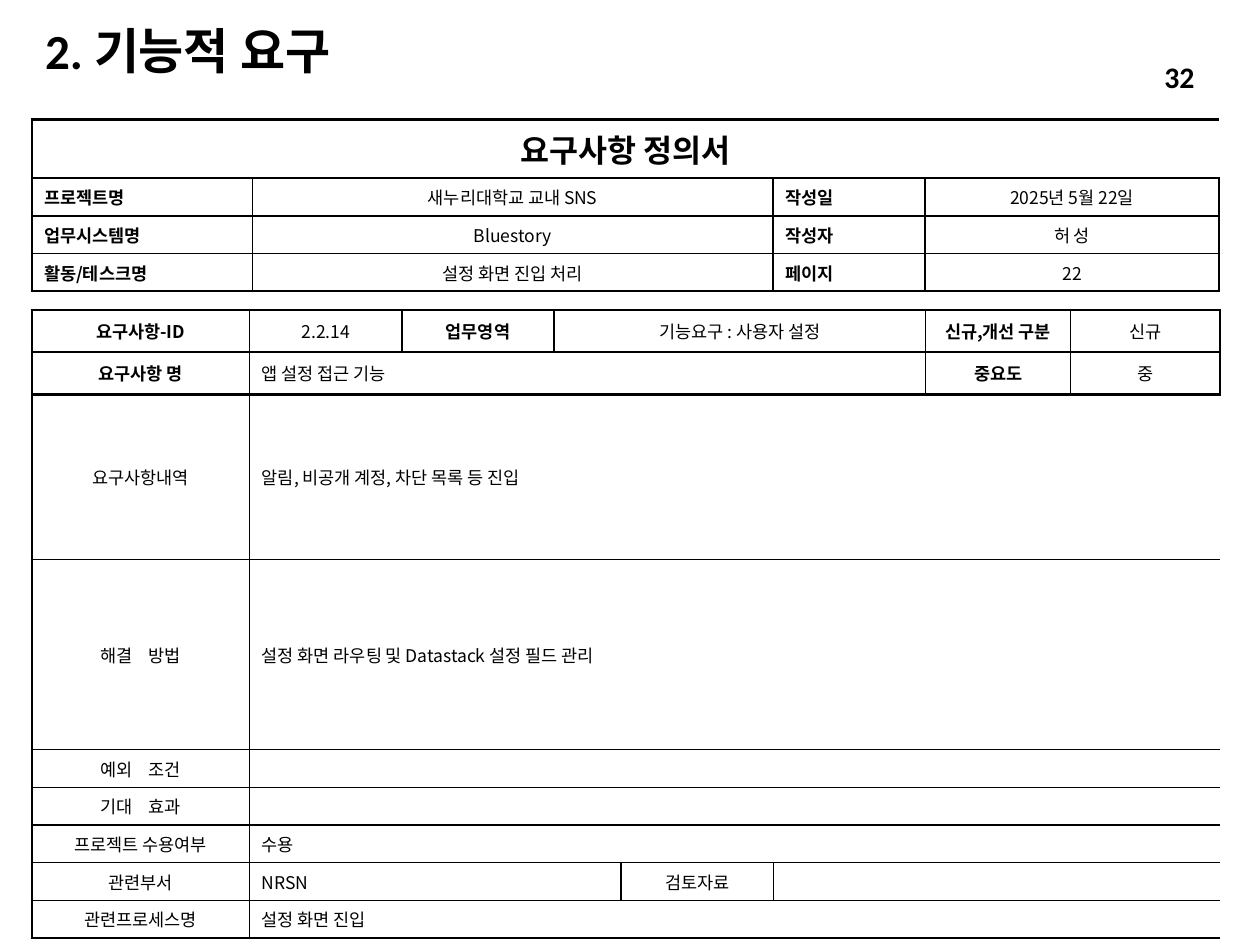
from lxml.etree import SubElement
from pptx import Presentation
from pptx.dml.color import RGBColor
from pptx.enum.text import MSO_ANCHOR as Anchor, PP_ALIGN as Align
from pptx.oxml.ns import qn
from pptx.util import Cm, Pt

BLACK = "000000"
LATIN, KOREAN = "Calibri", "Noto Sans CJK KR"
THIN, HEAVY = 1, 1.5
STYLES = {
    "heading": {"size": 18, "bold": True, "align": Align.CENTER},
    "field": {"size": 10, "bold": True, "align": Align.JUSTIFY},
    "label": {"size": 10, "bold": True, "align": Align.CENTER},
    "value": {"size": 10, "bold": False, "align": Align.CENTER},
    "detail": {"size": 10, "bold": False, "align": Align.LEFT},
}
SUMMARY = {
    "columns": [4.45, 10.49, 3.07, 5.92],
    "rows": [1.18] + [0.76] * 3,
    "heavy_lines": {0, 4},
    "heavy_right": {1, 2, 3},
    "anchors": [Anchor.MIDDLE] + [Anchor.TOP] * 3,
    "cells": [
        [("요구사항 정의서", "heading", 4)],
        [("프로젝트명", "field", 1), ("새누리대학교 교내 SNS", "value", 1),
         ("작성일", "field", 1), ("2025년 5월 22일", "value", 1)],
        [("업무시스템명", "field", 1), ("Bluestory", "value", 1),
         ("작성자", "field", 1), ("허 성", "value", 1)],
        [("활동/테스크명", "field", 1), ("설정 화면 진입 처리", "value", 1),
         ("페이지", "field", 1), ("22", "value", 1)],
    ],
}
REQUIREMENT = {
    "columns": [4.39, 3.07, 3.07, 1.35, 3.07, 3.07, 2.92, 3.02],
    "rows": [0.85, 0.85, 3.33, 3.83] + [0.76] * 5,
    "heavy_lines": {0, 1, 2, 9},
    "heavy_right": {0, 1},
    "anchors": [Anchor.MIDDLE] * 9,
    "cells": [
        [("요구사항-ID", "label", 1), ("2.2.14", "value", 1), ("업무영역", "label", 1),
         ("기능요구 : 사용자 설정", "value", 3), ("신규,개선 구분", "label", 1),
         ("신규", "value", 1)],
        [("요구사항 명", "label", 1), ("앱 설정 접근 기능", "detail", 5),
         ("중요도", "label", 1), ("중", "value", 1)],
        [("요구사항내역", "value", 1),
         ("알림, 비공개 계정, 차단 목록 등 진입", "detail", 7)],
        [("해결\t방법", "value", 1),
         ("설정 화면 라우팅 및 Datastack 설정 필드 관리", "detail", 7)],
        [("예외\t조건", "value", 1), ("", "detail", 7)],
        [("기대\t효과", "value", 1), ("", "detail", 7)],
        [("프로젝트 수용여부", "value", 1), ("수용", "detail", 7)],
        [("관련부서", "value", 1), ("NRSN", "detail", 3),
         ("검토자료", "value", 1), ("", "detail", 3)],
        [("관련프로세스명", "value", 1), ("설정 화면 진입", "detail", 7)],
    ],
}


def color(value):
    """Return the RGB colour of a hex string."""
    return RGBColor.from_string(value)


def set_attributes(target, values):
    """Set every attribute in a dict of format values."""
    for name, value in values.items():
        setattr(target, name, value)


def add_run(paragraph, text, size, bold, font, tracking=0):
    """Add a formatted run, with optional extra letter spacing in points."""
    run = paragraph.add_run()
    run.text = text
    set_attributes(run.font, {"name": font, "size": Pt(size), "bold": bold})
    run.font.color.rgb = color(BLACK)
    properties = run.font._element
    SubElement(properties, qn("a:ea")).set("typeface", KOREAN)
    if tracking:
        properties.set("spc", str(tracking * 100))


def write_cell(cell, text, style, anchor):
    """Write one table cell, turning a tab into a widened space."""
    set_attributes(cell, {
        "vertical_anchor": anchor, "margin_left": Cm(0.25), "margin_right": Cm(0.25),
        "margin_top": Cm(0.13), "margin_bottom": Cm(0.13)})
    paragraph = cell.text_frame.paragraphs[0]
    paragraph.alignment = style["align"]
    for part in filter(None, text.partition("\t")):
        gap = part == "\t"
        add_run(paragraph, " " if gap else part, style["size"], style["bold"],
                KOREAN, 7 if gap else 0)
    ending = SubElement(paragraph._p, qn("a:endParaRPr"))
    ending.set("sz", str(style["size"] * 100))


def set_borders(cell, weights):
    """Draw the given cell edges and leave the cell unfilled."""
    properties = cell._tc.get_or_add_tcPr()
    for edge in "LRTB":
        line = SubElement(properties, qn(f"a:ln{edge}"))
        if edge in weights:
            line.set("w", str(Pt(weights[edge])))
            fill = SubElement(line, qn("a:solidFill"))
            SubElement(fill, qn("a:srgbClr")).set("val", BLACK)
        else:
            line.set("w", "0")
            SubElement(line, qn("a:noFill"))
    cell.fill.background()


def add_form(slide, left, top, form):
    """Add a bordered form table at the given corner, in centimetres."""
    columns, rows = form["columns"], form["rows"]
    table = slide.shapes.add_table(
        len(rows), len(columns), Cm(left), Cm(top), Cm(sum(columns)), Cm(sum(rows))).table
    set_attributes(table, {"first_row": False, "horz_banding": False})
    for column, width in zip(table.columns, columns):
        column.width = Cm(width)
    for row, height in zip(table.rows, rows):
        row.height = Cm(height)
    for row, entries in enumerate(form["cells"]):
        start = 0
        edges = {side: HEAVY if line in form["heavy_lines"] else THIN
                 for side, line in (("T", row), ("B", row + 1))}
        for text, style, span in entries:
            end = start + span - 1
            for column in range(start, end + 1):
                weights = dict(edges)
                if column == start:
                    weights["L"] = THIN if column else HEAVY
                if column == end:
                    outer = end == len(columns) - 1 and row in form["heavy_right"]
                    weights["R"] = HEAVY if outer else THIN
                set_borders(table.cell(row, column), weights)
            cell = table.cell(row, start)
            if span > 1:
                cell.merge(table.cell(row, end))
            write_cell(cell, text, STYLES[style], form["anchors"][row])
            start = end + 1


def add_text(slide, left, top, width, height, text, size, align, spacing=1.0):
    """Add a bold line of text, centred vertically in its box."""
    frame = slide.shapes.add_textbox(Cm(left), Cm(top), Cm(width), Cm(height)).text_frame
    set_attributes(frame, {"word_wrap": True, "vertical_anchor": Anchor.MIDDLE})
    paragraph = frame.paragraphs[0]
    set_attributes(paragraph, {"alignment": align, "line_spacing": spacing})
    add_run(paragraph, text, size, True, LATIN)


def main():
    """Build and save the requirement slide."""
    presentation = Presentation()
    set_attributes(presentation, {"slide_width": Cm(25.4), "slide_height": Cm(19.05)})
    slide = presentation.slides.add_slide(presentation.slide_layouts[6])
    add_text(slide, 0.66, 0.53, 13.61, 1.12, "2. 기능적 요구", 28, Align.LEFT, 0.9)
    add_form(slide, 0.64, 6.25, REQUIREMENT)
    add_form(slide, 0.64, 2.41, SUMMARY)
    add_text(slide, 20.22, 1.04, 4.11, 1.02, "32", 17, Align.RIGHT)
    presentation.save("out.pptx")


if __name__ == "__main__":
    main()
